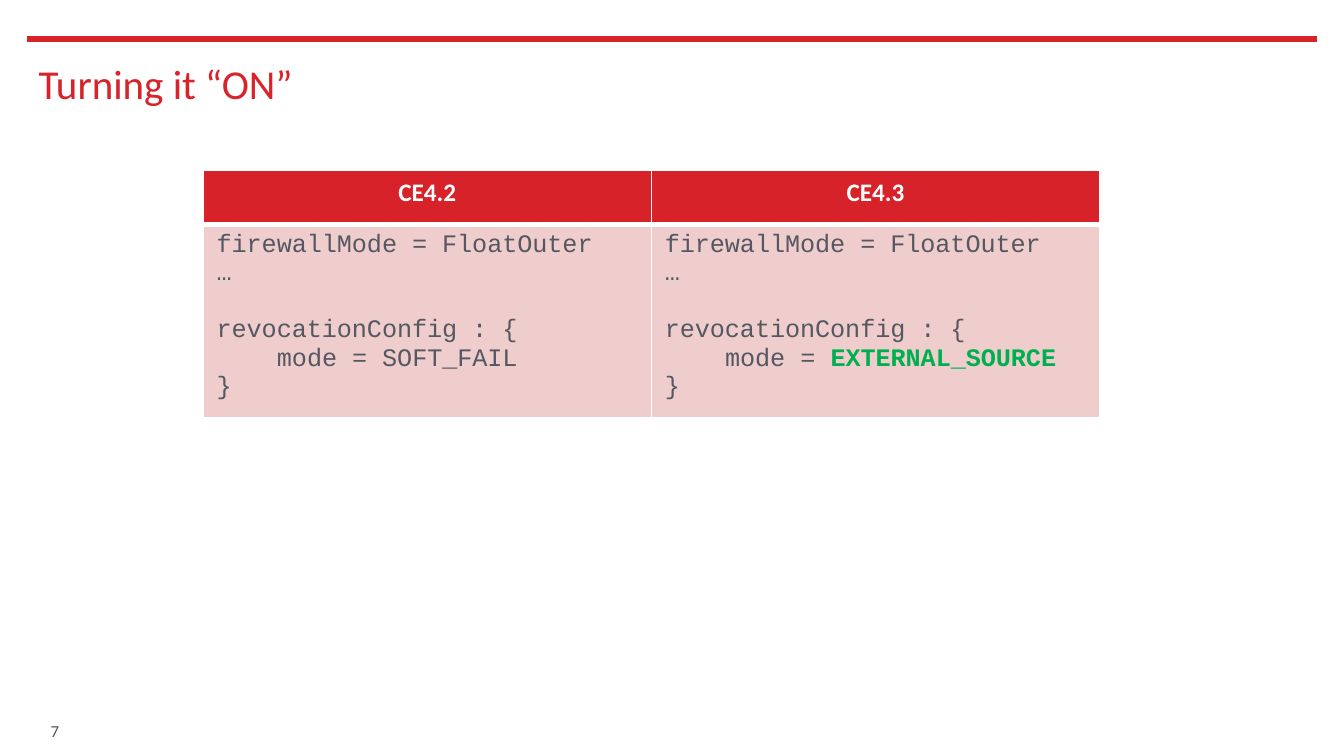
"""Build the slide that compares the settings of two releases."""
import pptx
import pptx.dml.color
import pptx.enum.shapes
import pptx.enum.text
import pptx.oxml
import pptx.oxml.ns
import pptx.util

Cm = pptx.util.Cm
Pt = pptx.util.Pt
ALIGN = pptx.enum.text.PP_ALIGN

TITLE = "Turning it “ON”"
PAGE = "7"
MODES = [
    ("CE4.2", ("SOFT_FAIL", "text", False)),
    ("CE4.3", ("EXTERNAL_SOURCE", "green", True)),
]
HUES = {
    "red": "D8232A",
    "head": "D8222A",
    "body": "F0CDCD",
    "text": "555861",
    "page": "53585F",
    "green": "00B050",
    "white": "FFFFFF",
}
COL, ROWS = 8.47, (1.03, 3.45)
SIZE = 13.5
CODE = {"font": "Courier New", "size": SIZE}


def color(name):
    return pptx.dml.color.RGBColor.from_string(HUES[name])


def write(para, text, font="Calibri", size=SIZE, hue="text", bold=False,
          align=ALIGN.LEFT, before=0, indent=0):
    para.alignment = align
    para.space_before = Pt(before)
    if indent:
        props = para._p.get_or_add_pPr()
        props.set("marL", str(Cm(indent)))
        props.set("indent", "0")
    run = para.add_run()
    run.text = text
    run.font.name = font
    run.font.size = Pt(size)
    run.font.bold = bold
    run.font.color.rgb = color(hue)


def label(slide, area, text, anchor, **form):
    frame = slide.shapes.add_textbox(*map(Cm, area)).text_frame
    frame.word_wrap = True
    frame.vertical_anchor = anchor
    write(frame.paragraphs[0], text, **form)


def paint(cell, fill, top, bottom):
    props = cell._tc.get_or_add_tcPr()
    space = pptx.oxml.ns.nsdecls("a")
    for side, width in zip("LRTB", (1, 1, top, bottom)):
        props.append(pptx.oxml.parse_xml(
            f'<a:ln{side} {space} w="{Pt(width)}"><a:solidFill>'
            f'<a:srgbClr val="{HUES["white"]}"/></a:solidFill></a:ln{side}>'))
    cell.fill.solid()
    cell.fill.fore_color.rgb = color(fill)


def code(cell, mode):
    name, hue, bold = mode
    lines = [
        ("firewallMode = FloatOuter", {}),
        ("…", {}),
        ("revocationConfig : {", {"before": 15.3}),
        ("mode = ", {"indent": 1.14}),
        ("}", {}),
    ]
    frame = cell.text_frame
    for num, (text, form) in enumerate(lines):
        para = frame.add_paragraph() if num else frame.paragraphs[0]
        write(para, text, **CODE, **form)
        if "indent" in form:
            write(para, name, hue=hue, bold=bold, **CODE, **form)


def main():
    deck = pptx.Presentation()
    deck.slide_width, deck.slide_height = Cm(25.4), Cm(14.29)
    slide = deck.slides.add_slide(deck.slide_layouts[6])

    rule = slide.shapes.add_connector(
        pptx.enum.shapes.MSO_CONNECTOR.STRAIGHT,
        Cm(0.51), Cm(0.74), Cm(24.89), Cm(0.74))
    rule.line.width = Pt(3)
    rule.line.color.rgb = color("red")
    rule._element.spPr.append(
        pptx.oxml.parse_xml(f'<a:effectLst {pptx.oxml.ns.nsdecls("a")}/>'))

    anchor = pptx.enum.text.MSO_ANCHOR
    label(slide, (0.48, 0.99, 24.38, 2.44), TITLE, anchor.TOP,
          size=22, hue="red")
    label(slide, (0.38, 13.49, 0.99, 0.64), PAGE, anchor.MIDDLE,
          size=9, hue="page", align=ALIGN.RIGHT)

    table = slide.shapes.add_table(
        len(ROWS), len(MODES), Cm(3.84), Cm(3.22),
        Cm(COL * len(MODES)), Cm(sum(ROWS))).table
    table.horz_banding = False
    for row, height in zip(table.rows, ROWS):
        row.height = Cm(height)
    for num, (head, mode) in enumerate(MODES):
        table.columns[num].width = Cm(COL)
        top, body = table.cell(0, num), table.cell(1, num)
        paint(top, "head", 1, 3)
        paint(body, "body", 3, 1)
        write(top.text_frame.paragraphs[0], head, hue="white", bold=True,
              align=ALIGN.CENTER)
        code(body, mode)
    deck.save("out.pptx")


if __name__ == "__main__":
    main()
